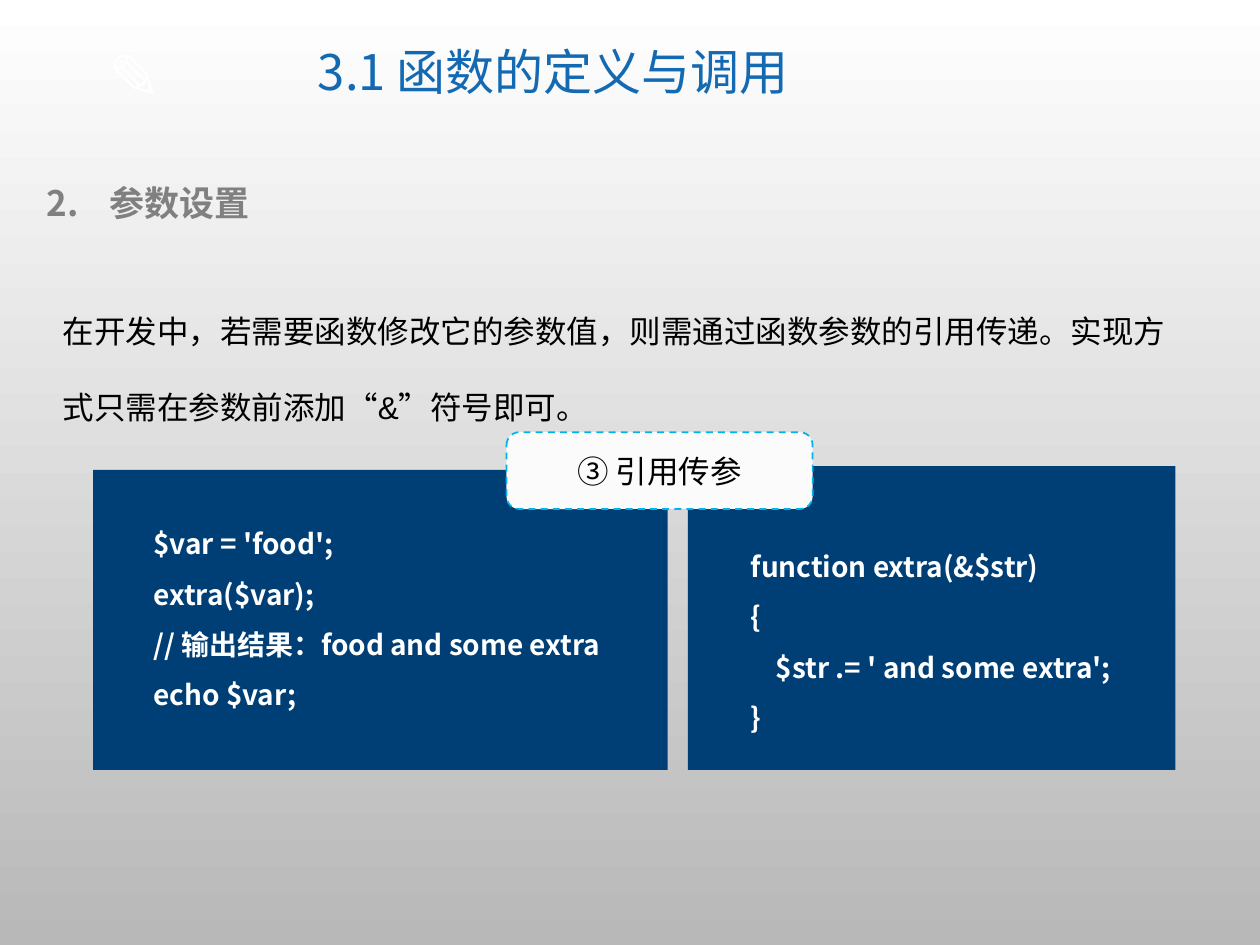
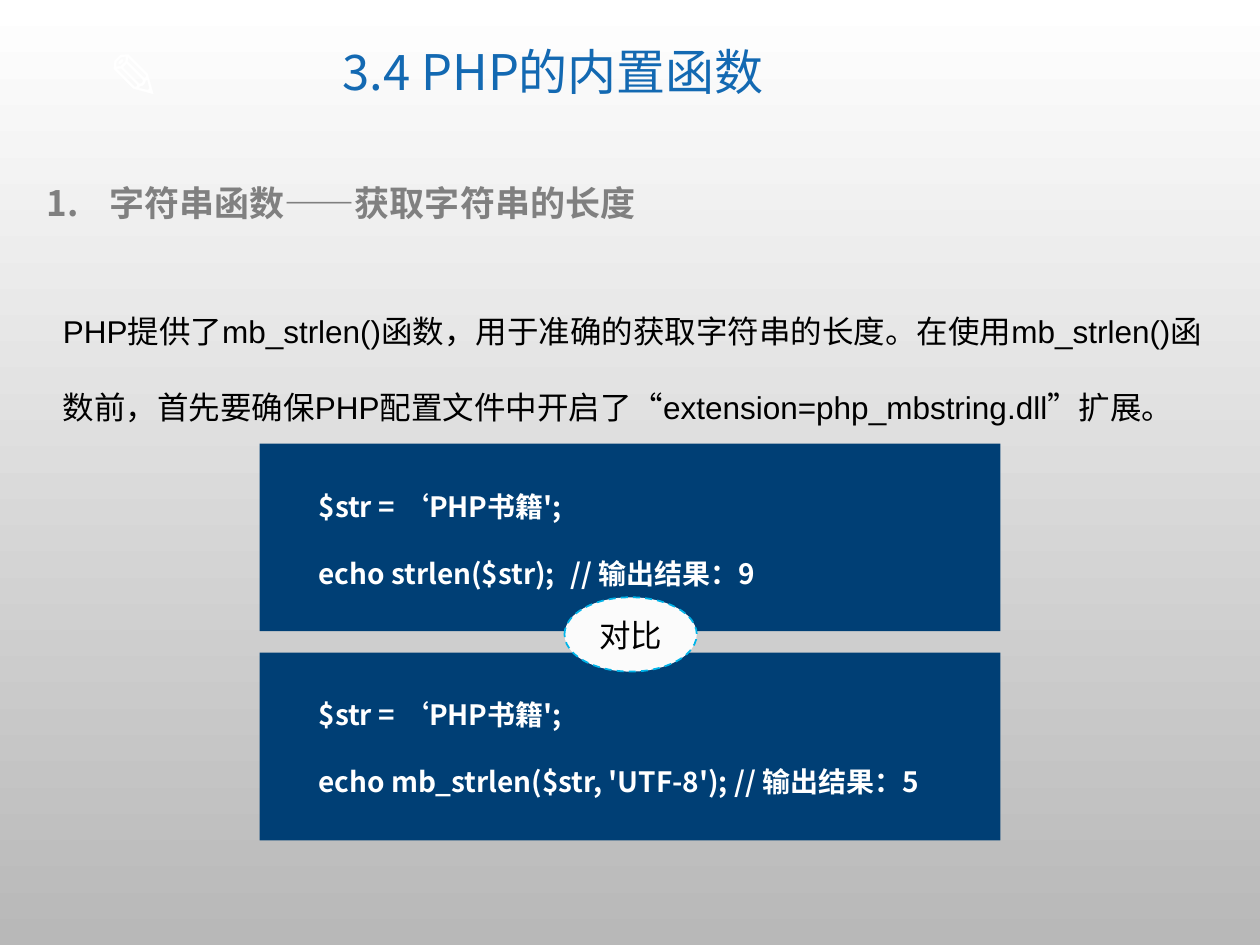
from lxml.etree import SubElement
from pptx import Presentation
from pptx.dml.color import RGBColor
from pptx.enum.dml import MSO_LINE
from pptx.enum.shapes import MSO_SHAPE
from pptx.enum.text import MSO_ANCHOR, MSO_AUTO_SIZE, PP_ALIGN
from pptx.oxml.ns import qn
from pptx.util import Inches, Pt

COLORS = {
    "top": "FFFFFF", "bottom": "B8B8B8", "title": "1369B2", "heading": "808080",
    "body": "000000", "panel": "003F75", "code": "FFFFFF", "badge": "FBFBFB", "dash": "00B4E9",
}
COLORS = {name: RGBColor.from_string(value) for name, value in COLORS.items()}
CJK = "Noto Sans CJK SC"

SLIDES = [
    {
        "title": "3.1 函数的定义与调用",
        "number": 2,
        "heading": "参数设置",
        "body": "在开发中，若需要函数修改它的参数值，则需通过函数参数的引用传递。实现方式只需在参数前添加“&”符号即可。",
        "body_width": 9.19,
        "spacing": 1.5,
        "panels": [
            ((5.46, 3.7, 3.87, 2.41), (5.86, 4.18, 3.28, 1.67),
             ["function extra(&$str)", "{", "\t$str .= ' and some extra';", "}"]),
            ((0.74, 3.73, 4.56, 2.38), (1.12, 4, 4.18, 1.72),
             ["$var = 'food';", "extra($var);", "// 输出结果：food and some extra", "echo $var;"]),
        ],
        "badge": (MSO_SHAPE.ROUNDED_RECTANGLE, (4.02, 3.43, 2.43, 0.61), "③ 引用传参"),
    },
    {
        "title": "3.4 PHP的内置函数",
        "number": 1,
        "heading": "字符串函数——获取字符串的长度",
        "body": "PHP提供了mb_strlen()函数，用于准确的获取字符串的长度。在使用mb_strlen()函数前，"
                "首先要确保PHP配置文件中开启了“extension=php_mbstring.dll”扩展。",
        "body_width": 9.32,
        "spacing": 2.0,
        "panels": [
            ((2.06, 3.52, 5.88, 1.49), (2.43, 3.57, 5.38, 1.18),
             ["$str = ‘PHP书籍';", "echo strlen($str);\t// 输出结果：9"]),
            ((2.06, 5.18, 5.88, 1.49), (2.43, 5.22, 5.38, 1.18),
             ["$str = ‘PHP书籍';", "echo mb_strlen($str, 'UTF-8'); // 输出结果：5"]),
        ],
        "badge": (MSO_SHAPE.OVAL, (4.48, 4.74, 1.05, 0.59), "对比"),
    },
]


def write(box, lines, size, color, font=CJK, bold=False, spacing=None, align=None):
    frame = box.text_frame
    frame.word_wrap = True
    for index, line in enumerate(lines):
        para = frame.add_paragraph() if index else frame.paragraphs[0]
        para.alignment = align
        para.line_spacing = spacing
        if line.startswith("\t"):
            para._p.get_or_add_pPr().set("marL", str(Inches(0.2)))
        span = para.add_run()
        span.text = line.lstrip("\t")
        span.font.size = Pt(size)
        span.font.bold = bold
        span.font.name = font
        span.font.color.rgb = COLORS[color]
        SubElement(span._r.get_or_add_rPr(), qn("a:ea")).set("typeface", CJK)
    return frame


def add_filled(shapes, kind, area, color):
    shape = shapes.add_shape(kind, *map(Inches, area))
    shape.shadow.inherit = False
    shape.fill.solid()
    shape.fill.fore_color.rgb = COLORS[color]
    shape.line.fill.background()
    return shape


deck = Presentation()
deck.slide_width, deck.slide_height = Inches(10), Inches(7.5)

backdrop = deck.slide_master.background.fill
backdrop.gradient()
backdrop.gradient_angle = 270
for stop, name in zip(backdrop.gradient_stops, ("top", "bottom")):
    stop.color.rgb = COLORS[name]

for content in SLIDES:
    page = deck.slides.add_slide(deck.slide_layouts[6])

    pencil = page.shapes.add_textbox(Inches(0.76), Inches(0.24), Inches(0.86), Inches(0.71))
    write(pencil, ["✎"], 36, "code", bold=True).word_wrap = False

    title = page.shapes.add_textbox(Inches(1.81), Inches(0.17), Inches(5.16), Inches(0.85))
    frame = write(title, [content["title"]], 28, "title", spacing=0.9, align=PP_ALIGN.CENTER)
    frame.vertical_anchor = MSO_ANCHOR.MIDDLE

    heading = page.shapes.add_textbox(Inches(0.27), Inches(1.39), Inches(9.22), Inches(0.44))
    frame = write(heading, [content["heading"]], 20, "heading", bold=True)
    props = frame.paragraphs[0]._p.get_or_add_pPr()
    props.set("marL", str(Inches(0.5)))
    props.set("indent", str(Inches(-0.5)))
    SubElement(props, qn("a:buFont")).set("typeface", "+mj-lt")
    bullet = SubElement(props, qn("a:buAutoNum"))
    bullet.set("type", "arabicPeriod")
    bullet.set("startAt", str(content["number"]))

    body = page.shapes.add_textbox(Inches(0.4), Inches(2.13), Inches(content["body_width"]), Inches(1.22))
    frame = write(body, [content["body"]], 18, "body", font="Arial", spacing=2.0)
    frame.auto_size = MSO_AUTO_SIZE.SHAPE_TO_FIT_TEXT

    for panel_area, code_area, code_lines in content["panels"]:
        group = page.shapes.add_group_shape()
        add_filled(group.shapes, MSO_SHAPE.RECTANGLE, panel_area, "panel")
        code = group.shapes.add_textbox(*map(Inches, code_area))
        write(code, code_lines, 16, "code", bold=True, spacing=content["spacing"])

    kind, area, label = content["badge"]
    badge = add_filled(page.shapes, kind, area, "badge")
    badge.line.color.rgb = COLORS["dash"]
    badge.line.width = Pt(1)
    badge.line.dash_style = MSO_LINE.DASH
    frame = write(badge, [label], 18, "body", font="Calibri", align=PP_ALIGN.CENTER)
    frame.vertical_anchor = MSO_ANCHOR.MIDDLE

deck.save("out.pptx")
